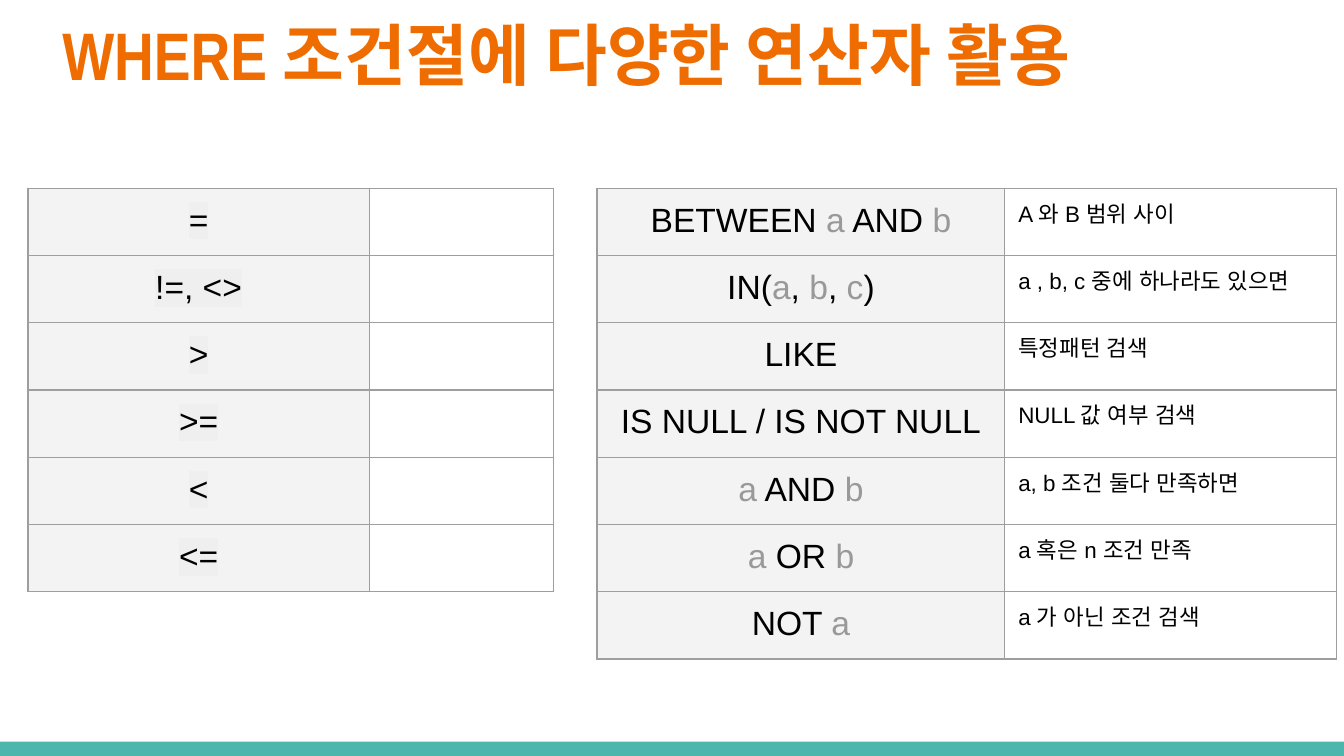
from dataclasses import dataclass

from pptx import Presentation
from pptx.dml.color import RGBColor
from pptx.enum.shapes import MSO_SHAPE as Shape
from pptx.enum.text import MSO_ANCHOR as Anchor, PP_ALIGN as Align
from pptx.oxml import parse_xml
from pptx.oxml.ns import nsdecls, qn
from pptx.util import Inches, Pt


@dataclass(frozen=True)
class Theme:
    accent: str = "EF6C00"
    footer: str = "4DB6AC"
    ink: str = "000000"
    muted: str = "999999"
    label: str = "F3F3F3"
    highlight: str = "EFEFEF"
    border: str = "9E9E9E"
    title_font: str = "Arial Narrow"
    body_font: str = "Arial"
    title_size: int = 36
    label_size: int = 18
    note_size: int = 12
    border_width: float = 0.75


class SlideBuilder:
    def __init__(self, deck, theme):
        self.deck = deck
        self.theme = theme
        self.page = deck.slides.add_slide(deck.slide_layouts[6])

    def across(self, percent):
        return round(self.deck.slide_width * percent / 100)

    def down(self, percent):
        return round(self.deck.slide_height * percent / 100)

    def frame(self, left, top, width, height):
        return self.across(left), self.down(top), self.across(width), self.down(height)

    def span(self, para, text, size, color, font, bold=False, highlight=None):
        span = para.add_run()
        span.text = text
        span.font.size = Pt(size)
        span.font.bold = bold
        span.font.name = font
        span.font.color.rgb = RGBColor.from_string(color)
        properties = span.font._element
        for script in ("cs", "ea"):
            face = parse_xml(f'<a:{script} {nsdecls("a")} typeface="{font}"/>')
            properties.find(qn("a:latin")).addnext(face)
        if highlight:
            mark = parse_xml(
                f'<a:highlight {nsdecls("a")}><a:srgbClr val="{highlight}"/></a:highlight>'
            )
            properties.find(qn("a:solidFill")).addnext(mark)

    def finish(self, para, size, font):
        faces = "".join(f'<a:{script} typeface="{font}"/>' for script in ("latin", "ea", "cs"))
        ending = f'<a:endParaRPr {nsdecls("a")} sz="{size * 100}">{faces}</a:endParaRPr>'
        para._p.append(parse_xml(ending))

    def bar(self, *place):
        bar = self.page.shapes.add_shape(Shape.RECTANGLE, *self.frame(*place))
        bar.shadow.inherit = False
        bar.fill.solid()
        bar.fill.fore_color.rgb = RGBColor.from_string(self.theme.footer)
        bar.line.fill.background()

    def title(self, text, *place):
        box = self.page.shapes.add_textbox(*self.frame(*place)).text_frame
        box.word_wrap = True
        box.vertical_anchor = Anchor.MIDDLE
        box.margin_left = box.margin_right = box.margin_top = box.margin_bottom = Inches(0.1)
        theme = self.theme
        self.span(box.paragraphs[0], text, theme.title_size, theme.accent, theme.title_font, bold=True)

    def outline(self, cell):
        properties = cell._tc.get_or_add_tcPr()
        for index, side in enumerate("LRTB"):
            line = parse_xml(
                f'<a:ln{side} {nsdecls("a")} w="{Pt(self.theme.border_width)}"><a:solidFill>'
                f'<a:srgbClr val="{self.theme.border}"/></a:solidFill></a:ln{side}>'
            )
            properties.insert(index, line)

    def label(self, cell, text, highlight):
        theme = self.theme
        cell.fill.solid()
        cell.fill.fore_color.rgb = RGBColor.from_string(theme.label)
        para = cell.text_frame.paragraphs[0]
        para.alignment = Align.CENTER
        for index, piece in enumerate(text.split("|")):
            if piece:
                color = theme.muted if index % 2 else theme.ink
                self.span(para, piece, theme.label_size, color, theme.body_font, highlight=highlight)
        self.finish(para, theme.label_size, theme.body_font)

    def note(self, cell, text):
        theme = self.theme
        cell.fill.background()
        para = cell.text_frame.paragraphs[0]
        if text:
            self.span(para, text, theme.note_size, theme.ink, theme.body_font)
        self.finish(para, theme.note_size, theme.body_font)

    def table(self, entries, left, top, widths, row_height, highlight=None):
        place = self.frame(left, top, sum(widths), row_height * len(entries))
        holder = self.page.shapes.add_table(len(entries), len(widths), *place)
        table = holder.table
        table.first_row = table.horz_banding = False
        for column, width in zip(table.columns, widths):
            column.width = self.across(width)
        for row, (operator, meaning) in zip(table.rows, entries):
            row.height = self.down(row_height / 2)
            for cell in row.cells:
                cell.margin_left = cell.margin_right = Inches(0.1)
                cell.margin_top = cell.margin_bottom = Inches(0.1)
            self.label(row.cells[0], operator, highlight)
            self.note(row.cells[1], meaning)
            for cell in row.cells:
                self.outline(cell)
        holder.height = place[3]


COMPARISONS = [(sign, "") for sign in ("=", "!=, <>", ">", ">=", "<", "<=")]
CONDITIONS = [
    ("BETWEEN |a| AND |b", "A 와 B 범위 사이"),
    ("IN(|a|, |b|, |c|)", "a , b, c 중에 하나라도 있으면"),
    ("LIKE", "특정패턴 검색"),
    ("IS NULL / IS NOT NULL", "NULL 값 여부 검색"),
    ("|a| AND |b", "a, b 조건 둘다 만족하면"),
    ("|a| OR |b", "a 혹은 n 조건 만족"),
    ("NOT |a", "a 가 아닌 조건 검색"),
]
TABLE_TOP = 24.9
ROW_HEIGHT = 8.89


def main():
    deck = Presentation()
    deck.slide_width = Inches(10)
    deck.slide_height = deck.slide_width * 9 // 16
    theme = Theme()
    builder = SlideBuilder(deck, theme)
    builder.bar(0, 98.1, 100, 1.9)
    builder.title("WHERE 조건절에 다양한 연산자 활용", 3.65, 0.2, 93.2, 13.7)
    builder.table(COMPARISONS, 2.08, TABLE_TOP, (25.4, 13.7), ROW_HEIGHT, theme.highlight)
    builder.table(CONDITIONS, 44.42, TABLE_TOP, (30.35, 24.7), ROW_HEIGHT)
    deck.save("out.pptx")


if __name__ == "__main__":
    main()
